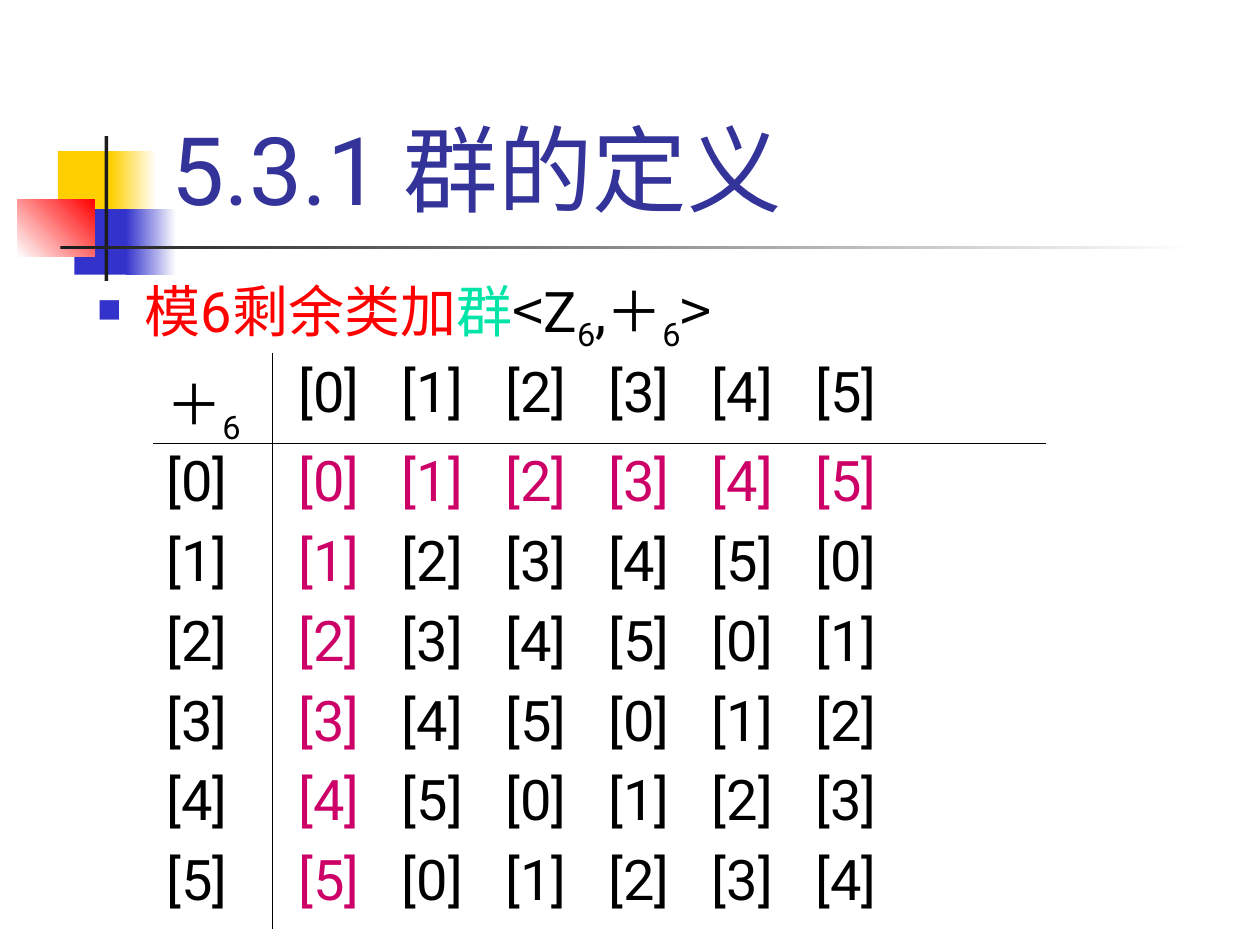
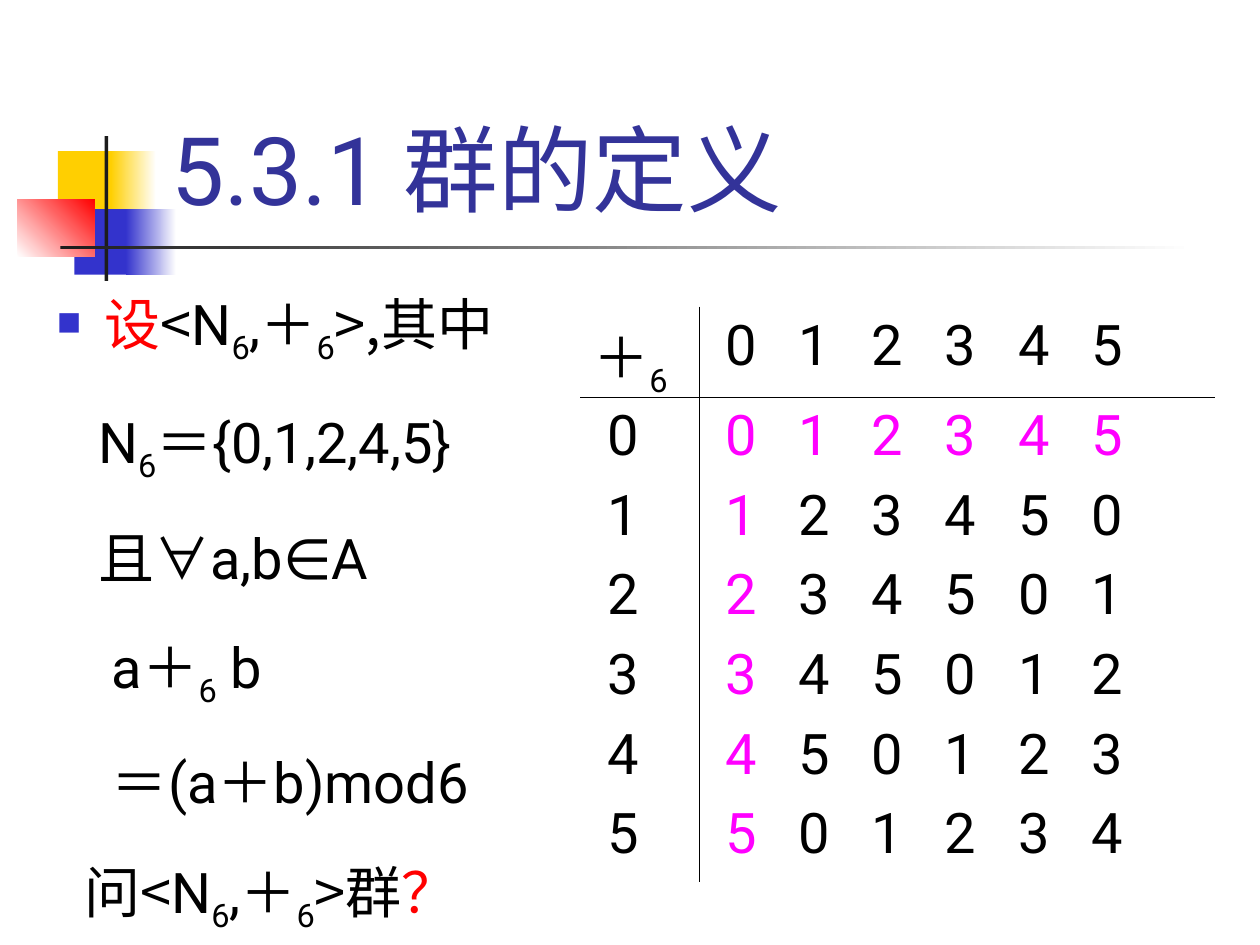
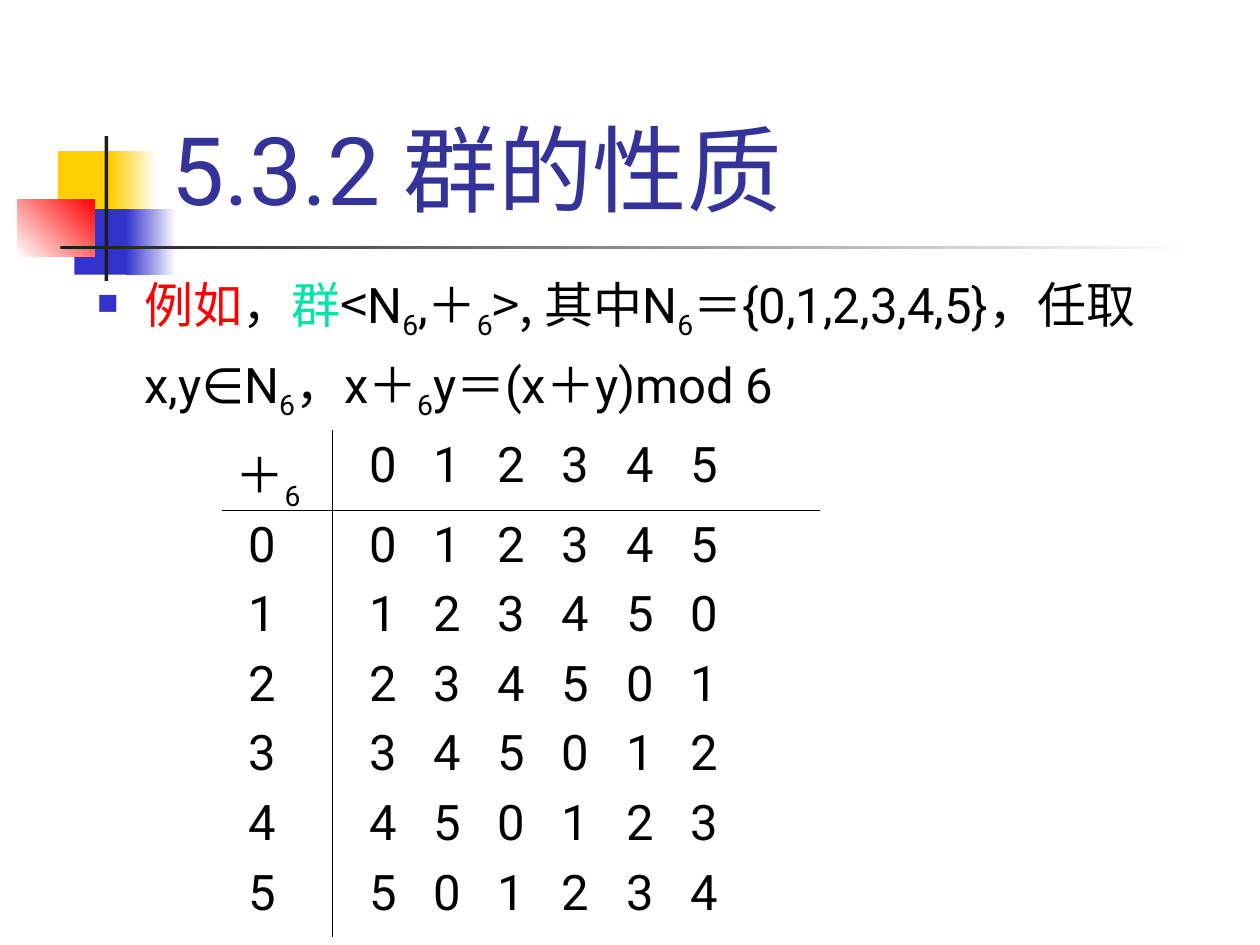
"""Build three slides on groups and their addition tables modulo six."""
from dataclasses import dataclass

from lxml.etree import SubElement
from pptx import Presentation
from pptx.dml.color import RGBColor
from pptx.enum.text import MSO_ANCHOR
from pptx.oxml.ns import qn
from pptx.util import Inches, Pt


@dataclass(frozen=True)
class Theme:
    black: str = "000000"
    white: str = "FFFFFF"
    ink: str = "1C1C1C"
    gold: str = "FFCF01"
    blue: str = "3333CC"
    navy: str = "333399"
    red: str = "FF0000"
    green: str = "00E4A8"
    rose: str = "CC0066"
    pink: str = "FF00FF"
    latin: str = "Roboto"
    asian: str = "Noto Sans CJK SC"
    sign: str = "Arial"
    title: int = 54
    large: int = 32
    small: int = 28


T = Theme()


def write(frame, runs, size, space=None, left=None, tabs=()):
    """Add a paragraph of (text, colour, font) runs, where _ lowers the next sign."""
    fresh = not frame.text
    par = frame.paragraphs[0] if fresh else frame.add_paragraph()
    props = par._p.get_or_add_pPr()
    if left is not None:
        props.set("marL", str(Inches(left or 0.38)))
        props.set("indent", str(0 if left else Inches(-0.38)))
        if not left:
            SubElement(SubElement(props, qn("a:buClr")), qn("a:srgbClr"), val=T.blue)
            SubElement(props, qn("a:buSzPct"), val="60000")
            SubElement(props, qn("a:buChar"), char="■")
    if tabs:
        stops = SubElement(props, qn("a:tabLst"))
        for stop in tabs:
            SubElement(stops, qn("a:tab"), pos=str(Inches(stop)), algn="l")
    par.font.size = Pt(size)
    if space:
        par.line_spacing = space
    if not fresh:
        par.space_before = Pt(size / 4)
    for text, color, face in runs:
        head, *tail = text.split("_")
        parts = [(head, False)]
        for bit in tail:
            parts += [(bit[0], True), (bit[1:], False)]
        for part, low in parts:
            if part:
                run = par.add_run()
                run.text = part
                run.font.size = Pt(size)
                run.font.color.rgb = RGBColor.from_string(color)
                run.font.name = face
                mark = run._r.get_or_add_rPr()
                SubElement(mark, qn("a:ea"), typeface=T.asian)
                if low:
                    mark.set("baseline", "-25000")


def add_box(slide, area):
    """Add a wrapping text box and return its frame."""
    frame = slide.shapes.add_textbox(*map(Inches, area)).text_frame
    frame.word_wrap = True
    return frame


BAND = [
    ((0.46, 1.2, 0.48, 0.52), (T.gold,), 0),
    ((0.88, 1.2, 0.36, 0.52), (T.gold, T.white), 0),
    ((0.59, 1.66, 0.46, 0.52), (T.blue,), 0),
    ((1, 1.66, 0.4, 0.52), (T.blue, T.white), 0),
    ((0.14, 1.58, 0.61, 0.46), (T.white, T.red), 45),
    ((0.83, 1.08, 0.03, 1.15), (T.ink,), 0),
    ((0.48, 1.95, 9, 0.03), (T.ink, T.white), 0),
]

SLIDES = [
    dict(
        title="5.3.1 群的定义", size=T.large, left=0.67, space=1.2,
        body=[(0, [("模6剩余类加", T.red, T.latin), ("群", T.green, T.latin),
                   ("<", T.black, T.asian), ("Z_6,＋_6", T.black, T.latin),
                   (">", T.black, T.asian)])],
        spot=(1.22, 2.81), cols=(0.94, 6.14), rows=(0.71, 3.86),
        form="[{}]", accent=T.rose, step=0.82, pads=(0.1, 0.21),
    ),
    dict(
        title="5.3.1 群的定义", size=T.large, left=0.35, space=1.37,
        body=[(0, [("设", T.red, T.latin), ("<", T.black, T.asian),
                   ("N_6,＋_6", T.black, T.latin), (">,其中", T.black, T.asian)]),
              (0.33, [("N_6＝{0,1,2,4,5}", T.black, T.latin)]),
              (0.33, [("且", T.black, T.latin), ("∀", T.black, T.sign),
                      ("a,b∈A", T.black, T.latin)]),
              (0.44, [("a＋_6 b", T.black, T.latin)]),
              (0.44, [("＝(a＋b)mod6", T.black, T.latin)]),
              (0.22, [("问<", T.black, T.asian), ("N_6,＋_6", T.black, T.latin),
                      (">群", T.black, T.asian), ("？", T.red, T.asian)])],
        spot=(4.61, 2.44), cols=(0.94, 4.09), rows=(0.71, 3.86),
        form="{}", accent=T.pink, step=0.58, pads=(0.21, 0.21),
    ),
    dict(
        title="5.3.2 群的性质", size=T.small, left=0.67, space=1.2,
        body=[(0, [("例如", T.red, T.latin), ("，", T.black, T.latin),
                   ("群", T.green, T.latin), ("<", T.black, T.asian),
                   ("N_6,＋_6", T.black, T.latin), (">, ", T.black, T.asian),
                   ("其中N_6＝{0,1,2,3,4,5}，任取x,y∈N_6，x＋_6y＝(x＋y)mod 6",
                    T.black, T.latin)])],
        spot=(1.77, 3.42), cols=(0.87, 3.86), rows=(0.63, 3.39),
        form="{}", accent=T.black, step=0.51, pads=(0.2, 0.29),
    ),
]

deck = Presentation()
deck.slide_width, deck.slide_height = Inches(10), Inches(7.5)

for page in SLIDES:
    slide = deck.slides.add_slide(deck.slide_layouts[6])
    for area, colors, angle in BAND:
        block = slide.shapes.add_shape(1, *map(Inches, area))
        block.shadow.inherit = False
        block.line.fill.background()
        if len(colors) == 1:
            block.fill.solid()
            block.fill.fore_color.rgb = RGBColor.from_string(colors[0])
        else:
            block.fill.gradient()
            block.fill.gradient_angle = angle
            for stop, color in zip(block.fill.gradient_stops, colors):
                stop.color.rgb = RGBColor.from_string(color)

    frame = add_box(slide, (1.26, 0.23, 8.52, 1.6))
    frame.vertical_anchor = MSO_ANCHOR.BOTTOM
    write(frame, [(page["title"], T.navy, T.latin)], T.title)

    size = page["size"]
    frame = add_box(slide, (page["left"], 2.02, 10 - page["left"], 5.48))
    for left, runs in page["body"]:
        write(frame, runs, size, page["space"], left)

    cols, rows = page["cols"], page["rows"]
    area = (*page["spot"], sum(cols), sum(rows))
    table = slide.shapes.add_table(2, 2, *map(Inches, area)).table
    table.first_row = table.horz_banding = False
    for col, width in zip(table.columns, cols):
        col.width = Inches(width)
    for row, height in zip(table.rows, rows):
        row.height = Inches(height)
    for r in range(2):
        for c in range(2):
            cell = table.cell(r, c)
            props = cell._tc.get_or_add_tcPr()
            for side in ("lnL" if c else "lnR", "lnT" if r else "lnB"):
                line = SubElement(props, qn(f"a:{side}"), w=str(Pt(0.45)))
                fill = SubElement(line, qn("a:solidFill"))
                SubElement(fill, qn("a:srgbClr"), val=T.black)
            cell.fill.background()

    signs = [page["form"].format(n) for n in range(6)]
    tabs = [page["step"] * n for n in range(1, 6)]
    table.cell(1, 0).margin_left = Inches(page["pads"][0])
    for r in range(2):
        table.cell(r, 1).margin_left = Inches(page["pads"][1])
    write(table.cell(0, 0).text_frame, [("＋_6", T.black, T.latin)], size)
    write(table.cell(0, 1).text_frame, [("\t".join(signs), T.black, T.latin)],
          size, tabs=tabs)
    for n, sign in enumerate(signs):
        write(table.cell(1, 0).text_frame, [(sign, T.black, T.latin)], size)
        rest = "\t" + "\t".join((signs[n:] + signs[:n])[1:])
        tint = T.black if n else page["accent"]
        write(table.cell(1, 1).text_frame,
              [(sign, page["accent"], T.latin), (rest, tint, T.latin)],
              size, tabs=tabs)

deck.save("out.pptx")
